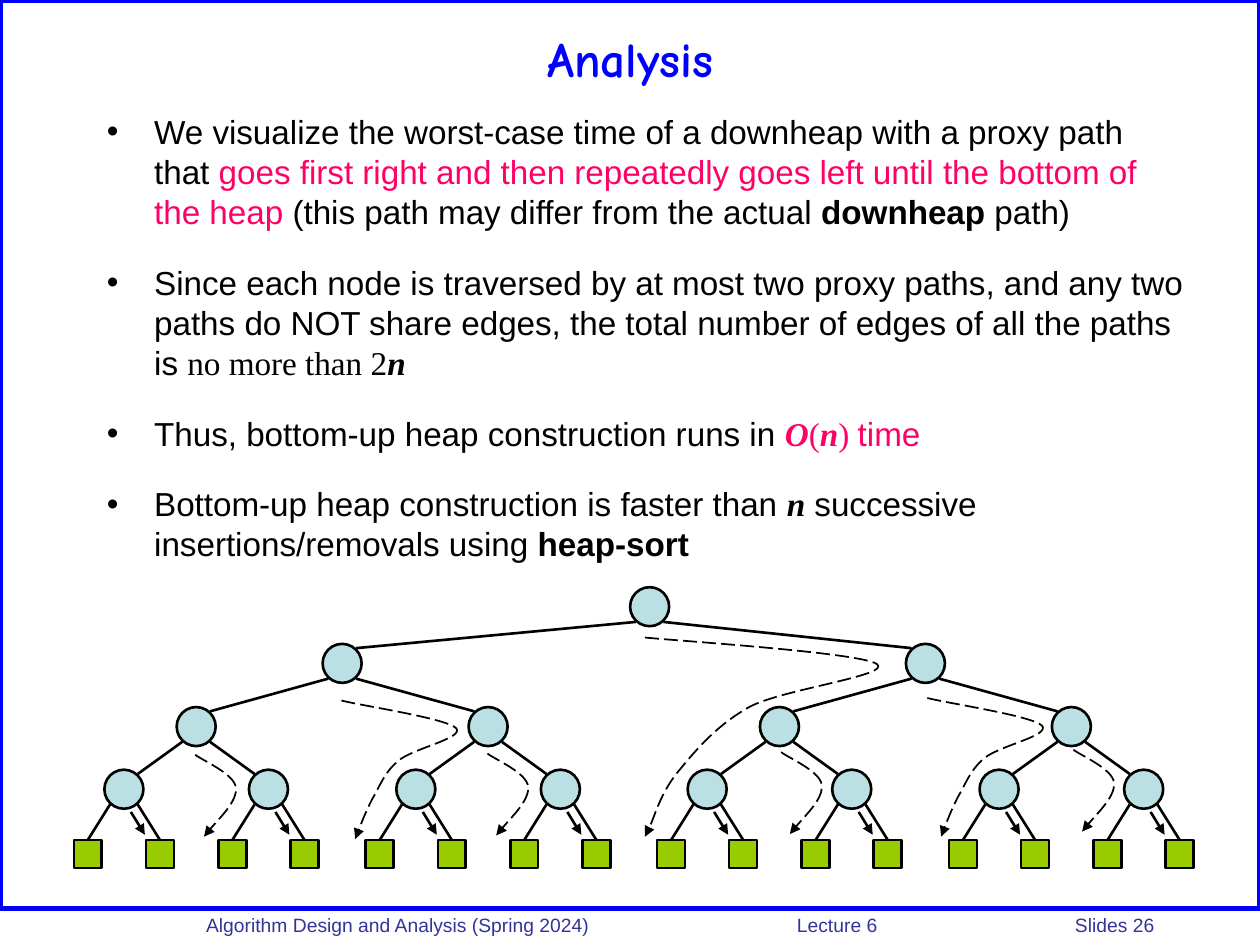
"""Build the slide that analyses bottom-up heap construction with proxy paths."""
from typing import NamedTuple

from pptx import Presentation
from pptx.dml.color import RGBColor
from pptx.enum.dml import MSO_LINE
from pptx.enum.shapes import MSO_CONNECTOR, MSO_SHAPE
from pptx.enum.text import MSO_ANCHOR, PP_ALIGN
from pptx.oxml.xmlchemy import OxmlElement
from pptx.util import Pt

LONG_DASH = MSO_LINE.LONG_DASH
STRAIGHT = MSO_CONNECTOR.STRAIGHT
OVAL, RECTANGLE = MSO_SHAPE.OVAL, MSO_SHAPE.RECTANGLE
MIDDLE, CENTER = MSO_ANCHOR.MIDDLE, PP_ALIGN.CENTER
COLORS = {
    "black": "000000", "blue": "0000FF", "pink": "FF0066",
    "footer": "333399", "node": "BBE0E3", "leaf": "99CC00",
}
SERIF = "Times New Roman"


class Point(NamedTuple):
    x: float
    y: float

    def shift(self, dx: float, dy: float) -> "Point":
        return Point(self.x + dx, self.y + dy)


class Span(NamedTuple):
    text: str
    color: str = "black"
    font: str = "Arial"
    bold: bool = False
    italic: bool = False


class ProxyPath(NamedTuple):
    starts: list[Point]
    offsets: list[tuple[float, float]]


NODE_SIZE, LEAF_SIZE = 22.3, 16
EDGE_DX, EDGE_DY = 7.9, 8.7
ROOT = Point(371.2, 346.7)
CHILDREN = [Point(195.5, 379.1), Point(528.8, 379.1)]
LOWER_LEVELS = [(83.4, 415.2), (41.3, 451), (20.6, 488)]

BULLETS = [
    [Span("We visualize the worst-case time of a downheap with a proxy path that "),
     Span("goes first right and then repeatedly goes left until the bottom of the heap", "pink"),
     Span(" (this path may differ from the actual "),
     Span("downheap", bold=True), Span(" path)")],
    [Span("Since each node is traversed by at most two proxy paths, and any two paths "
          "do NOT share edges, the total number of edges of all the paths is "),
     Span("no more than 2", font=SERIF), Span("n", font=SERIF, bold=True, italic=True)],
    [Span("Thus, bottom-up heap construction runs in "),
     Span("O", "pink", SERIF, True, True), Span("(", "pink", SERIF),
     Span("n", "pink", SERIF, True, True), Span(") ", "pink", SERIF), Span("time", "pink")],
    [Span("Bottom-up heap construction is faster than "),
     Span("n", font=SERIF, bold=True, italic=True),
     Span(" successive insertions/removals using "), Span("heap-sort", bold=True)],
]

PROXY_PATHS = [
    ProxyPath([Point(368.6, 364.3)],
              [(22.3, 2.2), (122.4, 8.6), (132.5, 15.1), (141.8, 21.6), (78.5, 29.5),
               (59.8, 39.6), (40.3, 50.4), (28.1, 65.5), (18, 77.8), (8.6, 90),
               (4.3, 106.6), (0, 113.8)]),
    ProxyPath([Point(529.9, 398.9), Point(195.1, 400.3)],
              [(10.8, 2.9), (59.8, 10.1), (65.5, 15.8), (70.6, 21.6), (40.3, 27.4),
               (32.4, 34.6), (24.5, 41), (21.6, 49.7), (17.3, 56.9), (13.7, 64.1),
               (9.4, 74.9), (7.9, 79.2)]),
    ProxyPath([Point(111.6, 431.3), Point(278.6, 430.6), Point(446.4, 429.8),
               Point(613.4, 428.4)],
              [(3.6, 3), (22.3, 10.8), (23.2, 18.7), (24.2, 26.4), (9.2, 41), (5, 46.8)]),
]


def rgb(name: str) -> RGBColor:
    return RGBColor.from_string(COLORS[name])


def add_element(parent, tag: str, **attributes: str):
    child = OxmlElement(tag)
    for key, value in attributes.items():
        child.set(key, value)
    parent.append(child)
    return child


def add_text(para, text: str, *, size: float, color: str = "black", font: str = "Arial",
             bold: bool = False, italic: bool = False) -> None:
    span = para.add_run()
    span.text = text
    span.font.size = Pt(size)
    span.font.name = font
    span.font.bold, span.font.italic = bold, italic
    span.font.color.rgb = rgb(color)


def set_line(shape, *, color: str = "black", width: float = 1.5, dash=None,
             arrow: bool = False) -> None:
    shape.line.color.rgb = rgb(color)
    shape.line.width = Pt(width)
    if dash:
        shape.line.dash_style = dash
    if arrow:
        add_element(shape.line._get_or_add_ln(), "a:tailEnd", type="triangle")


def add_shape(page, kind, left: float, top: float, width: float, height: float,
              fill: str = ""):
    shape = page.shapes.add_shape(kind, Pt(left), Pt(top), Pt(width), Pt(height))
    shape.shadow.inherit = False
    if fill:
        shape.fill.solid()
        shape.fill.fore_color.rgb = rgb(fill)
    else:
        shape.fill.background()
    set_line(shape)
    return shape


def add_mark(page, kind, center: Point, size: float, fill: str) -> None:
    add_shape(page, kind, center.x - size / 2, center.y - size / 2, size, size, fill)


def add_line(page, start: Point, end: Point, **style) -> None:
    line = page.shapes.add_connector(STRAIGHT, Pt(start.x), Pt(start.y), Pt(end.x), Pt(end.y))
    set_line(line, **style)
    add_element(line.element.spPr, "a:effectLst")


def add_curve(page, start: Point, offsets: list[tuple[float, float]]) -> None:
    points = [start.shift(*offset) for offset in offsets]
    builder = page.shapes.build_freeform(Pt(start.x), Pt(start.y))
    builder.add_line_segments([(Pt(point.x), Pt(point.y)) for point in points], close=False)
    curve = builder.convert_to_shape()
    curve.shadow.inherit = False
    curve.fill.background()
    set_line(curve, width=1, dash=LONG_DASH, arrow=True)
    steps = curve.element.xpath(".//a:lnTo")
    for first in range(0, len(steps), 3):
        bezier = OxmlElement("a:cubicBezTo")
        steps[first].addprevious(bezier)
        for step in steps[first:first + 3]:
            bezier.append(step[0])
            step.getparent().remove(step)


def add_text_box(page, left: float, top: float, width: float, height: float):
    box = page.shapes.add_textbox(Pt(left), Pt(top), Pt(width), Pt(height))
    box.text_frame.word_wrap = True
    return box.text_frame


def add_bullets(page) -> None:
    frame = add_text_box(page, 54, 59.8, 630, 270)
    for index, spans in enumerate(BULLETS):
        para = frame.add_paragraph() if index else frame.paragraphs[0]
        properties = para._p.get_or_add_pPr()
        properties.set("marL", str(Pt(27)))
        properties.set("indent", str(Pt(-27)))
        add_element(properties, "a:buFont", typeface="Arial")
        add_element(properties, "a:buChar", char="•")
        para.line_spacing = Pt(22.86)
        para.space_before = Pt(17.7 if index else 0)
        for span in spans:
            add_text(para, size=19, **span._asdict())


def add_footer(page) -> None:
    frame = add_text_box(page, 95.8, 518.4, 624.2, 18.7)
    frame.margin_left = Pt(22)
    para = frame.paragraphs[0]
    tabs = add_element(para._p.get_or_add_pPr(), "a:tabLst")
    for position in (337.6, 496.5):
        add_element(tabs, "a:tab", pos=str(Pt(position)), algn="l")
    add_text(para, "Algorithm Design and Analysis (Spring 2024)\tLecture 6\tSlides 26",
             size=11, color="footer")


def add_heap(page) -> None:
    levels = [[ROOT], CHILDREN]
    for spread, y in LOWER_LEVELS:
        levels.append([Point(parent.x + side * spread, y)
                       for parent in levels[-1] for side in (-1, 1)])
    *inner_levels, leaves = levels
    for parents, children in zip(levels, levels[1:]):
        for index, child in enumerate(children):
            side = 1 if index % 2 else -1
            start = parents[index // 2].shift(side * EDGE_DX, EDGE_DY)
            end = (child.shift(0, -LEAF_SIZE / 2) if children is leaves
                   else child.shift(-side * EDGE_DX, -EDGE_DY))
            add_line(page, start, end)
    for node in sum(inner_levels, []):
        add_mark(page, OVAL, node, NODE_SIZE, "node")
    for leaf in leaves:
        add_mark(page, RECTANGLE, leaf, LEAF_SIZE, "leaf")
    for proxy in PROXY_PATHS:
        for start in proxy.starts:
            add_curve(page, start, proxy.offsets)
    for node in inner_levels[-1]:
        add_line(page, node.shift(4, 13), node.shift(12, 26), dash=LONG_DASH, arrow=True)


def main() -> None:
    deck = Presentation()
    deck.slide_width, deck.slide_height = Pt(720), Pt(540)
    page = deck.slides.add_slide(deck.slide_layouts[5])
    set_line(add_shape(page, RECTANGLE, 0, 0, 720, 519), color="blue", width=3)
    add_footer(page)
    title = page.shapes.title
    title.left, title.top, title.width, title.height = Pt(36), Pt(6), Pt(648), Pt(54)
    title.text_frame.vertical_anchor = MIDDLE
    para = title.text_frame.paragraphs[0]
    para.alignment = CENTER
    add_text(para, "Analysis", size=28, color="blue", font="Comic Neue", bold=True)
    add_bullets(page)
    add_heap(page)
    deck.save("out.pptx")


if __name__ == "__main__":
    main()
